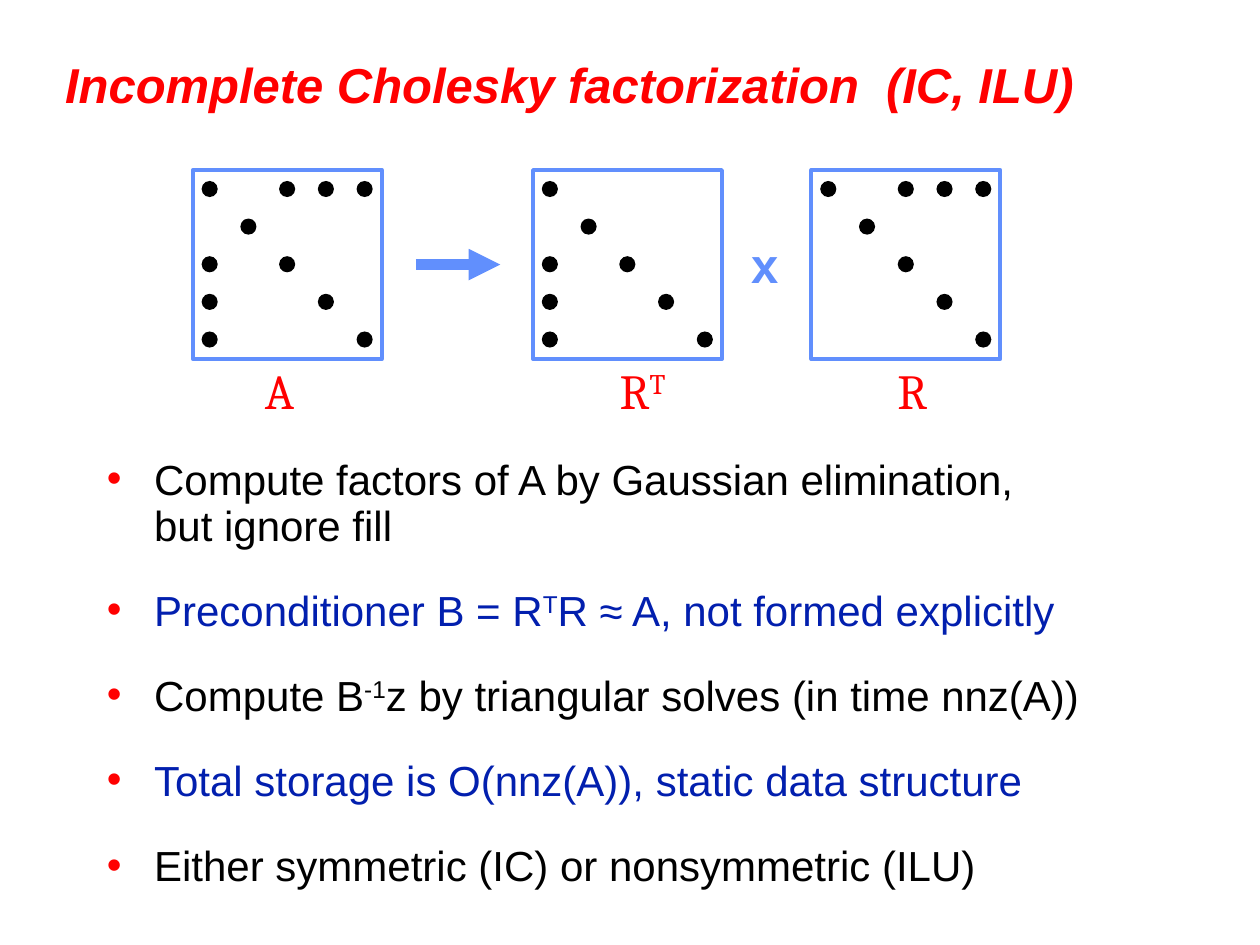
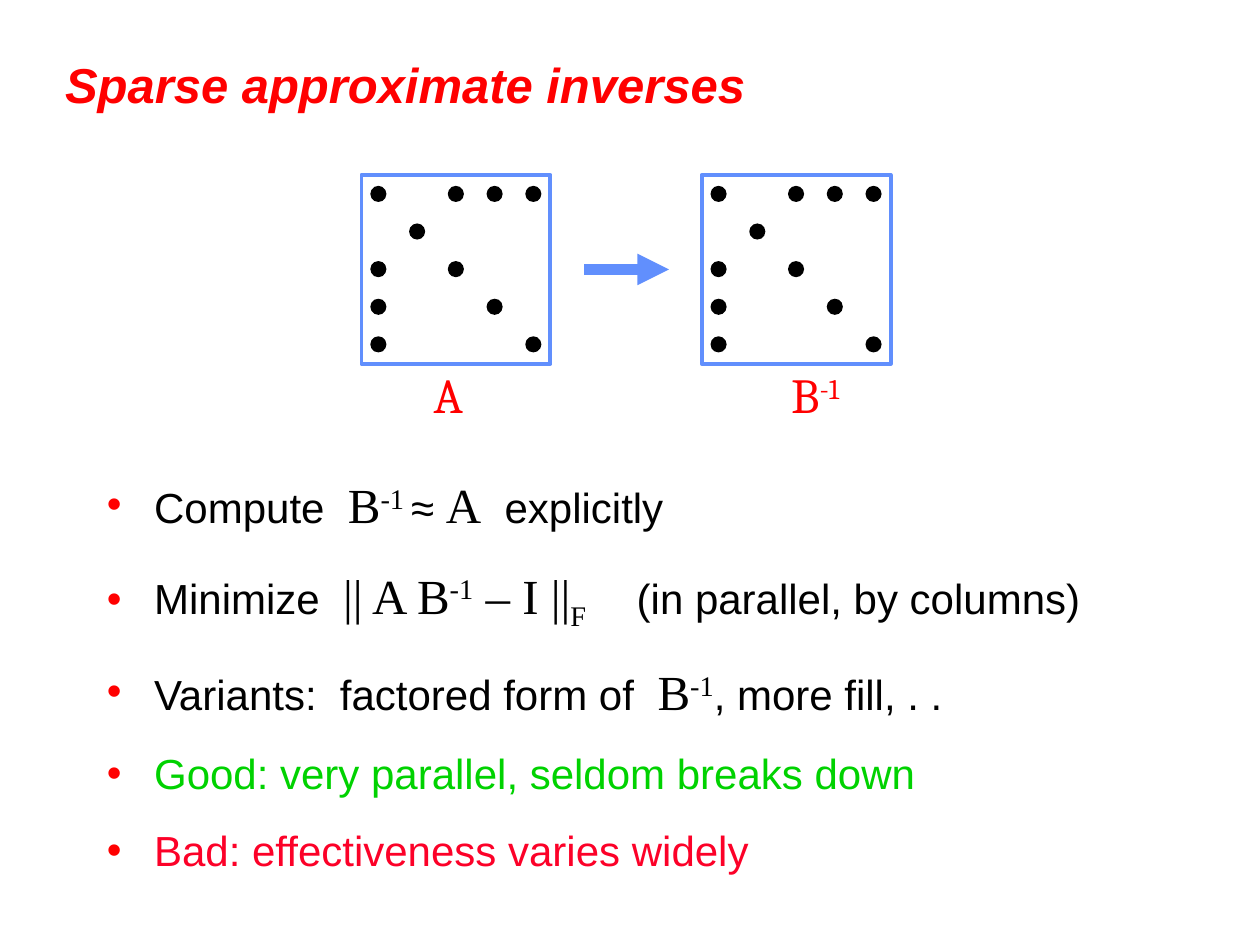
from lxml.etree import SubElement
from pptx import Presentation
from pptx.dml.color import RGBColor
from pptx.enum.shapes import MSO_CONNECTOR, MSO_SHAPE
from pptx.enum.text import MSO_ANCHOR, PP_ALIGN
from pptx.oxml.ns import qn
from pptx.util import Pt

RED, BLACK, NAVY, SKY = "FF0000", "000000", "021FAE", "618FFD"
GREEN, CRIMSON = "00D200", "FC0128"
SANS, SERIF, MATH = ("Arial", 24), ("Cambria", 28), ("Times New Roman", 28)
SUPER, SUB = 30000, -25000

BOX, DOT = 108, 9.2
DOT_LEFT, DOT_TOP = 5, 6.2
COLUMN_STEP, ROW_STEP = 22.14, 21.5
ARROW_START, ARROW_LENGTH = 127.4, 48.3
LABEL_DROP, LABEL_WIDTH, LABEL_HEIGHT = 105, 60, 41
TAB_STOP = 302.8

ARROWHEAD_MATRIX = ["*.***", ".*...", "*.*..", "*..*.", "*...*"]
LOWER_FACTOR = ["*....", ".*...", "*.*..", "*..*.", "*...*"]
UPPER_FACTOR = ["*.***", ".*...", "..*..", "...*.", "....*"]

SLIDES = [
    {
        "title": "Incomplete Cholesky factorization  (IC, ILU)",
        "top": 97.2,
        "matrices": [
            (110.2, ARROWHEAD_MATRIX, [("A",)], -4.5),
            (304.6, LOWER_FACTOR, [("R",), ("T", SERIF, SUPER)], 8.6),
            (463.7, UPPER_FACTOR, [("R",)], 3.6),
        ],
        "times_centre": 437,
        "line_spacing": Pt(26.3),
        "space_before": 22.3,
        "bullets": [
            (BLACK, [("Compute factors of A by Gaussian elimination, \nbut ignore fill",)]),
            (NAVY, [("Preconditioner B = R",), ("T", SANS, SUPER),
                    ("R ≈ A, not formed explicitly",)]),
            (BLACK, [("Compute B",), ("-1", SANS, SUPER),
                     ("z by triangular solves (in time nnz(A))",)]),
            (NAVY, [("Total storage is O(nnz(A)), static data structure",)]),
            (BLACK, [("Either symmetric (IC) or nonsymmetric (ILU)",)]),
        ],
    },
    {
        "title": "Sparse approximate inverses",
        "top": 100,
        "matrices": [
            (206.6, ARROWHEAD_MATRIX, [("A",)], -4.5),
            (401, ARROWHEAD_MATRIX, [("B",), ("-1", SERIF, SUPER)], 10.8),
        ],
        "times_centre": None,
        "line_spacing": 1.3,
        "space_before": 6.7,
        "bullets": [
            (BLACK, [("Compute  ",), ("B", MATH), ("-1 ", MATH, SUPER), ("≈ ",),
                     ("A", MATH), ("  explicitly",)]),
            (BLACK, [("Minimize  ",), ("|| A B", MATH), ("-1", MATH, SUPER),
                     (" – I ||", MATH), ("F", MATH, SUB),
                     ("\t(in parallel, by columns)",)]),
            (BLACK, [("Variants:  factored form of  ",), ("B", MATH),
                     ("-1", MATH, SUPER), (", more fill, . . ",)]),
            (GREEN, [("Good: very parallel, seldom breaks down",)]),
            (CRIMSON, [("Bad: effectiveness varies widely",)]),
        ],
    },
]


def rgb(value):
    """Turn a hex string into a colour."""
    return RGBColor.from_string(value)


def style(font, face, colour, bold=None, italic=None):
    """Set face, size, colour and weight of a font."""
    font.name, font.size = face[0], Pt(face[1])
    font.color.rgb = rgb(colour)
    font.bold, font.italic = bold, italic


def write(paragraph, pieces, face, colour):
    """Write pieces of (text, face, baseline) into a paragraph."""
    style(paragraph.font, face, colour)
    for text, own_face, baseline in ((*piece, face, 0)[:3] if len(piece) == 1
                                     else (*piece, 0)[:3] for piece in pieces):
        for number, line in enumerate(text.split("\n")):
            if number:
                paragraph.add_line_break()
            run = paragraph.add_run()
            run.text = line
            style(run.font, own_face, colour)
            if baseline:
                run._r.get_or_add_rPr().set("baseline", str(baseline))


def add_label(shapes, centre, top, pieces, face, colour):
    """Add a one-line label centred on a point."""
    label = shapes.add_textbox(Pt(centre - LABEL_WIDTH / 2), Pt(top),
                               Pt(LABEL_WIDTH), Pt(LABEL_HEIGHT))
    label.text_frame.word_wrap = True
    paragraph = label.text_frame.paragraphs[0]
    paragraph.alignment = PP_ALIGN.CENTER
    write(paragraph, pieces, face, colour)
    return paragraph


def add_matrix(shapes, left, top, rows):
    """Draw a sparse matrix: a dot for each star, then the frame."""
    for row, cells in enumerate(rows):
        for column, cell in enumerate(cells):
            if cell == "*":
                dot = shapes.add_shape(MSO_SHAPE.OVAL,
                                       Pt(left + DOT_LEFT + column * COLUMN_STEP),
                                       Pt(top + DOT_TOP + row * ROW_STEP),
                                       Pt(DOT), Pt(DOT))
                dot.shadow.inherit = False
                dot.fill.solid()
                dot.fill.fore_color.rgb = rgb(BLACK)
                dot.line.fill.background()
    frame = shapes.add_shape(MSO_SHAPE.RECTANGLE, Pt(left), Pt(top), Pt(BOX), Pt(BOX))
    frame.shadow.inherit = False
    frame.fill.background()
    frame.line.color.rgb = rgb(SKY)
    frame.line.width = Pt(2.25)


def add_arrow(shapes, left, middle):
    """Draw the thick arrow to the right."""
    arrow = shapes.add_connector(MSO_CONNECTOR.STRAIGHT, Pt(left), Pt(middle),
                                 Pt(left + ARROW_LENGTH), Pt(middle))
    arrow.line.color.rgb = rgb(SKY)
    arrow.line.width = Pt(6)
    SubElement(arrow.line._get_or_add_ln(), qn("a:tailEnd"), type="triangle")
    SubElement(arrow._element.spPr, qn("a:effectLst"))


def add_diagram(slide, content):
    """Draw the matrices, arrow and labels as one group."""
    shapes = slide.shapes.add_group_shape().shapes
    top = content["top"]
    for left, rows, label, shift in content["matrices"]:
        add_matrix(shapes, left, top, rows)
        add_label(shapes, left + BOX / 2 + shift, top + LABEL_DROP, label, SERIF, RED)
    add_arrow(shapes, content["matrices"][0][0] + ARROW_START, top + BOX / 2)
    if content["times_centre"]:
        times = add_label(shapes, content["times_centre"], top + 33, [("x",)],
                          ("Arial", 28), SKY)
        times.runs[0].font.bold = True


def add_bullets(slide, content):
    """Add the bulleted list below the diagram."""
    body = slide.shapes.add_textbox(Pt(54), Pt(257.8), Pt(612), Pt(264)).text_frame
    body.word_wrap = True
    for number, (colour, pieces) in enumerate(content["bullets"]):
        paragraph = body.add_paragraph() if number else body.paragraphs[0]
        paragraph.line_spacing = content["line_spacing"]
        paragraph.space_before = Pt(content["space_before"] if number else 0)
        properties = paragraph._p.get_or_add_pPr()
        properties.set("marL", str(Pt(27)))
        properties.set("indent", str(Pt(-27)))
        bullet_colour = SubElement(properties, qn("a:buClr"))
        SubElement(bullet_colour, qn("a:srgbClr"), val=RED)
        SubElement(properties, qn("a:buFont"), typeface="Arial")
        SubElement(properties, qn("a:buChar"), char="•")
        if any("\t" in piece[0] for piece in pieces):
            stops = SubElement(properties, qn("a:tabLst"))
            SubElement(stops, qn("a:tab"), pos=str(Pt(TAB_STOP)), algn="l")
        write(paragraph, pieces, SANS, colour)


def add_title(slide, text):
    """Place and format the title placeholder."""
    title = slide.shapes.title
    title.left, title.top, title.width, title.height = Pt(30), Pt(24), Pt(672), Pt(48)
    title.text_frame.text = text
    title.text_frame.vertical_anchor = MSO_ANCHOR.MIDDLE
    paragraph = title.text_frame.paragraphs[0]
    paragraph.alignment = PP_ALIGN.LEFT
    style(paragraph.font, ("Arial", 28), RED, True, True)


deck = Presentation()
deck.slide_width, deck.slide_height = Pt(720), Pt(540)
for content in SLIDES:
    slide = deck.slides.add_slide(deck.slide_layouts[5])
    add_title(slide, content["title"])
    add_bullets(slide, content)
    add_diagram(slide, content)
deck.save("out.pptx")
